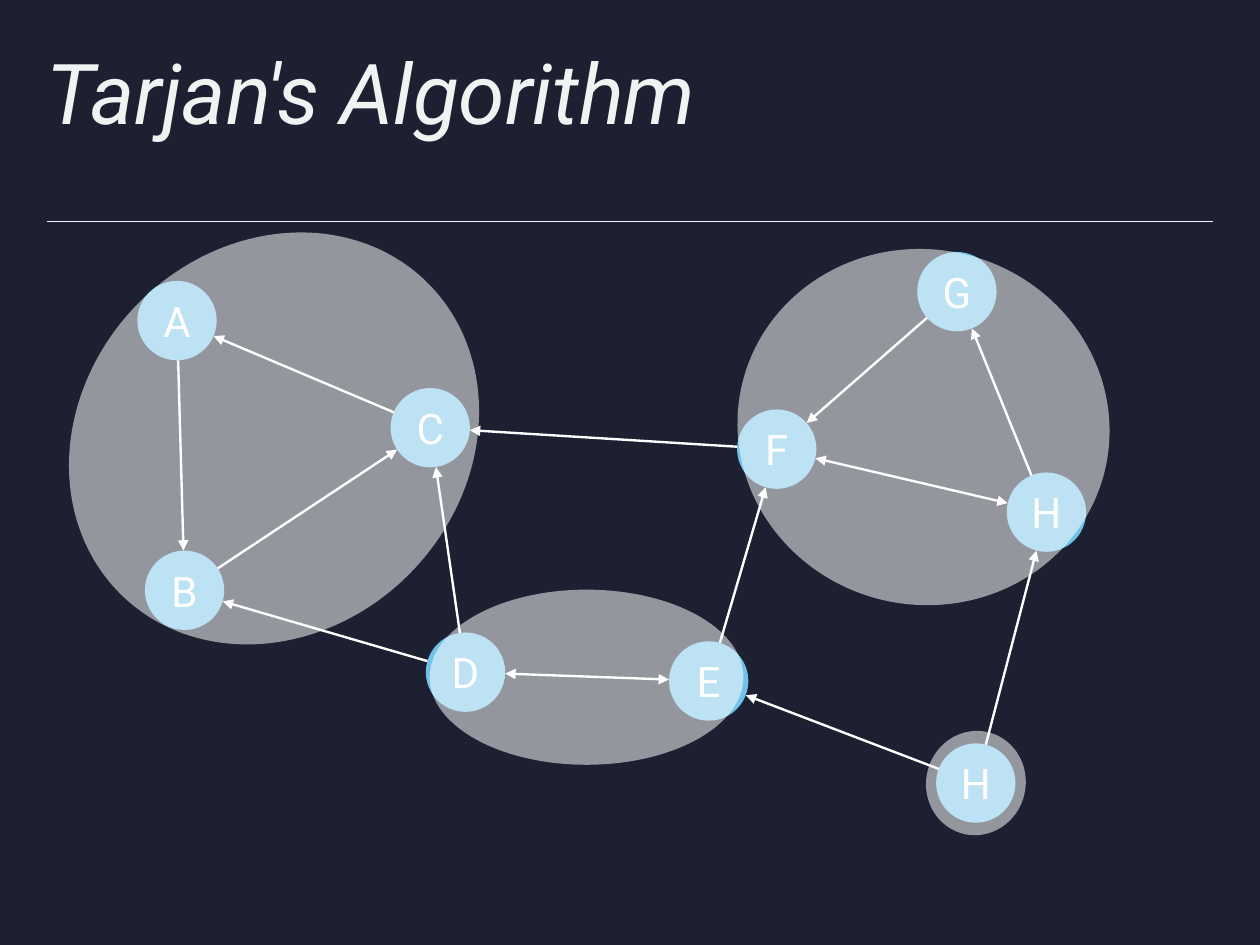
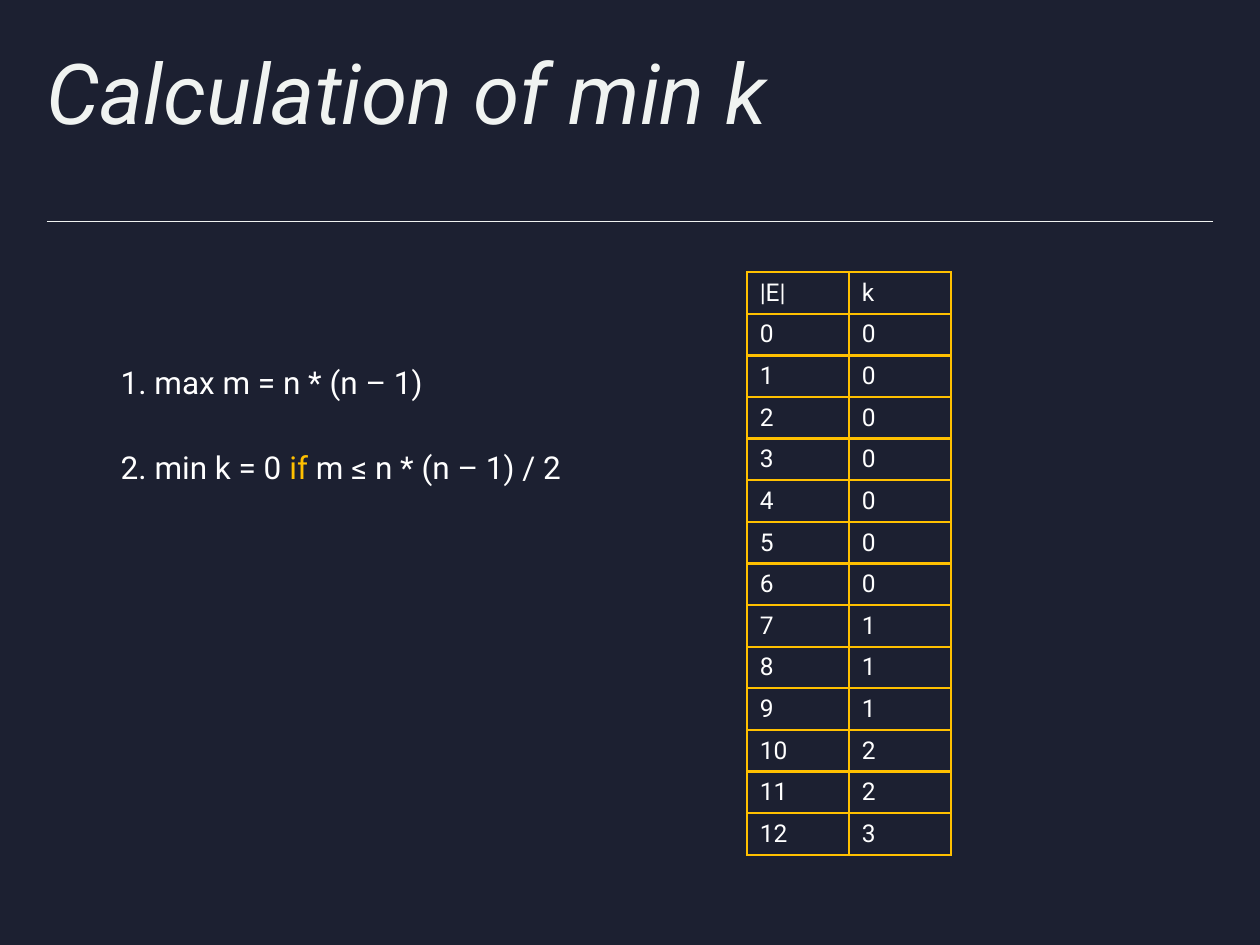
from math import hypot

from lxml import etree
from pptx import Presentation
from pptx.dml.color import RGBColor
from pptx.enum import shapes, text
from pptx.oxml.ns import qn
from pptx.util import Inches, Pt

# Shared look
FONT = "Roboto"
NAVY = RGBColor(0x1C, 0x20, 0x31)
OFF_WHITE = RGBColor(0xF0, 0xF3, 0xF1)
WHITE = RGBColor(0xFF, 0xFF, 0xFF)
SKY = RGBColor(0x72, 0xC2, 0xE8)
GOLD = RGBColor(0xFF, 0xC0, 0x00)

# Graph content: node key -> (label, left, top)
NODE_SIZE = 0.63
NODES = {
    "A": ("A", 1.09, 2.23), "C": ("C", 3.1, 3.08), "B": ("B", 1.15, 4.37),
    "D": ("D", 3.38, 5.02), "E": ("E", 5.31, 5.09), "F": ("F", 5.85, 3.25),
    "H": ("H", 7.99, 3.75), "G": ("G", 7.28, 2.0), "H2": ("H", 7.43, 5.9),
}
# (source, target, arrowheads at both ends)
EDGES = [
    ("A", "B", False), ("B", "C", False), ("C", "A", False),
    ("D", "B", False), ("D", "C", False), ("H2", "H", False),
    ("H2", "E", False), ("D", "E", True), ("H", "G", False),
    ("F", "C", False), ("F", "H", True), ("G", "F", False),
    ("E", "F", False),
]
# Strongly connected components: left, top, width, height, rotation
COMPONENTS = [
    (0.44, 1.96, 3.47, 3.04, 314),
    (5.85, 1.98, 2.96, 2.82, 13),
    (3.41, 4.68, 2.49, 1.39, 0),
    (7.35, 5.8, 0.79, 0.83, 13),
]
COMPONENT_OPACITY = 53

# Min k content
K_VALUES = [0, 0, 0, 0, 0, 0, 0, 1, 1, 1, 2, 2, 3]
K_ROWS = [("|E|", "k")] + [(str(m), str(k)) for m, k in enumerate(K_VALUES)]
COL_W, ROW_H = 0.81, 0.33
# Formulas: top, width, runs
FORMULAS = [
    (2.83, 3.0, [("1. max m = n * (n – 1)", WHITE)]),
    (3.51, 4.71, [("2. min k = 0 ", WHITE), ("if ", GOLD),
                  ("m ≤ n * (n – 1) / 2", WHITE)]),
]


def add_run(p, words, size, color, italic=False):
    r = p.add_run()
    r.text = words
    r.font.name = FONT
    r.font.size = Pt(size)
    r.font.italic = italic
    r.font.color.rgb = color


def add_line(s, start, end, color, width, head=False, tail=False):
    cx = s.shapes.add_connector(shapes.MSO_CONNECTOR.STRAIGHT,
                                *[Inches(v) for v in (*start, *end)])
    cx.line.color.rgb = color
    cx.line.width = Pt(width)
    ln = cx.line._get_or_add_ln()
    for tag, wanted in (("a:headEnd", head), ("a:tailEnd", tail)):
        if wanted:
            etree.SubElement(ln, qn(tag), type="triangle")
    etree.SubElement(cx._element.spPr, qn("a:effectLst"))


def add_filled(s, kind, box, color):
    sp = s.shapes.add_shape(kind, *[Inches(v) for v in box])
    sp.shadow.inherit = False
    sp.fill.solid()
    sp.fill.fore_color.rgb = color
    sp.line.fill.background()
    return sp


def add_titled_slide(prs, title):
    s = prs.slides.add_slide(prs.slide_layouts[5])
    s.background.fill.solid()
    s.background.fill.fore_color.rgb = NAVY
    sp = s.shapes.title
    sp.left, sp.top = Inches(0.37), Inches(0.41)
    sp.width, sp.height = Inches(9.27), Inches(1.08)
    tf = sp.text_frame
    tf.auto_size = text.MSO_AUTO_SIZE.NONE
    tf.vertical_anchor = text.MSO_ANCHOR.TOP
    tf.margin_left = tf.margin_top = tf.margin_right = tf.margin_bottom = 0
    p = tf.paragraphs[0]
    p.alignment = text.PP_ALIGN.LEFT
    p.line_spacing = 0.9
    add_run(p, title, 48, OFF_WHITE, italic=True)
    add_line(s, (0.37, 1.76), (9.63, 1.76), OFF_WHITE, 0.5)
    return s


def add_node(s, label, left, top):
    sp = add_filled(s, shapes.MSO_SHAPE.FLOWCHART_CONNECTOR,
                    (left, top, NODE_SIZE, NODE_SIZE), SKY)
    tf = sp.text_frame
    tf.margin_left = tf.margin_right = 0
    tf.vertical_anchor = text.MSO_ANCHOR.MIDDLE
    p = tf.paragraphs[0]
    p.alignment = text.PP_ALIGN.CENTER
    add_run(p, label, 24, WHITE)


def add_edge(s, source, target, both):
    """Run from rim to rim along the line between the two centres."""
    radius = NODE_SIZE / 2
    (x1, y1), (x2, y2) = [(NODES[n][1] + radius, NODES[n][2] + radius)
                          for n in (source, target)]
    scale = radius / hypot(x2 - x1, y2 - y1)
    dx, dy = (x2 - x1) * scale, (y2 - y1) * scale
    add_line(s, (x1 + dx, y1 + dy), (x2 - dx, y2 - dy), WHITE, 1.35,
             head=both, tail=True)


def add_component(s, left, top, width, height, rotation):
    sp = add_filled(s, shapes.MSO_SHAPE.OVAL, (left, top, width, height), WHITE)
    sp.rotation = rotation
    clr = sp._element.spPr.find(qn("a:solidFill"))[0]
    etree.SubElement(clr, qn("a:alpha"), val=str(COMPONENT_OPACITY * 1000))


def add_cell_borders(cell, color, width):
    tc_pr = cell._tc.get_or_add_tcPr()
    for i, side in enumerate(("a:lnL", "a:lnR", "a:lnT", "a:lnB")):
        ln = etree.Element(qn(side), w=str(Pt(width)))
        fill = etree.SubElement(ln, qn("a:solidFill"))
        etree.SubElement(fill, qn("a:srgbClr"), val=str(color))
        tc_pr.insert(i, ln)


def add_k_table(s):
    rows, cols = len(K_ROWS), len(K_ROWS[0])
    table = s.shapes.add_table(rows, cols, Inches(5.93), Inches(2.16),
                               Inches(COL_W * cols), Inches(ROW_H * rows)).table
    table.first_row = table.horz_banding = False
    for col in table.columns:
        col.width = Inches(COL_W)
    for i, values in enumerate(K_ROWS):
        table.rows[i].height = Inches(ROW_H)
        for j, value in enumerate(values):
            cell = table.cell(i, j)
            cell.fill.background()
            add_cell_borders(cell, GOLD, 1.5)
            add_run(cell.text_frame.paragraphs[0], value, 14, WHITE)


def add_formula(s, top, width, runs):
    sp = s.shapes.add_textbox(Inches(0.86), Inches(top), Inches(width), Inches(0.4))
    tf = sp.text_frame
    tf.word_wrap = True
    for words, color in runs:
        add_run(tf.paragraphs[0], words, 18, color)


def main():
    prs = Presentation()
    prs.slide_width, prs.slide_height = Inches(10), Inches(7.5)

    # Graph with its strongly connected components
    s = add_titled_slide(prs, "Tarjan's Algorithm")
    for node in NODES.values():
        add_node(s, *node)
    for edge in EDGES:
        add_edge(s, *edge)
    for component in COMPONENTS:
        add_component(s, *component)

    # Smallest k for each number of edges
    s = add_titled_slide(prs, "Calculation of min k")
    add_k_table(s)
    for formula in FORMULAS:
        add_formula(s, *formula)

    prs.save("out.pptx")


if __name__ == "__main__":
    main()
